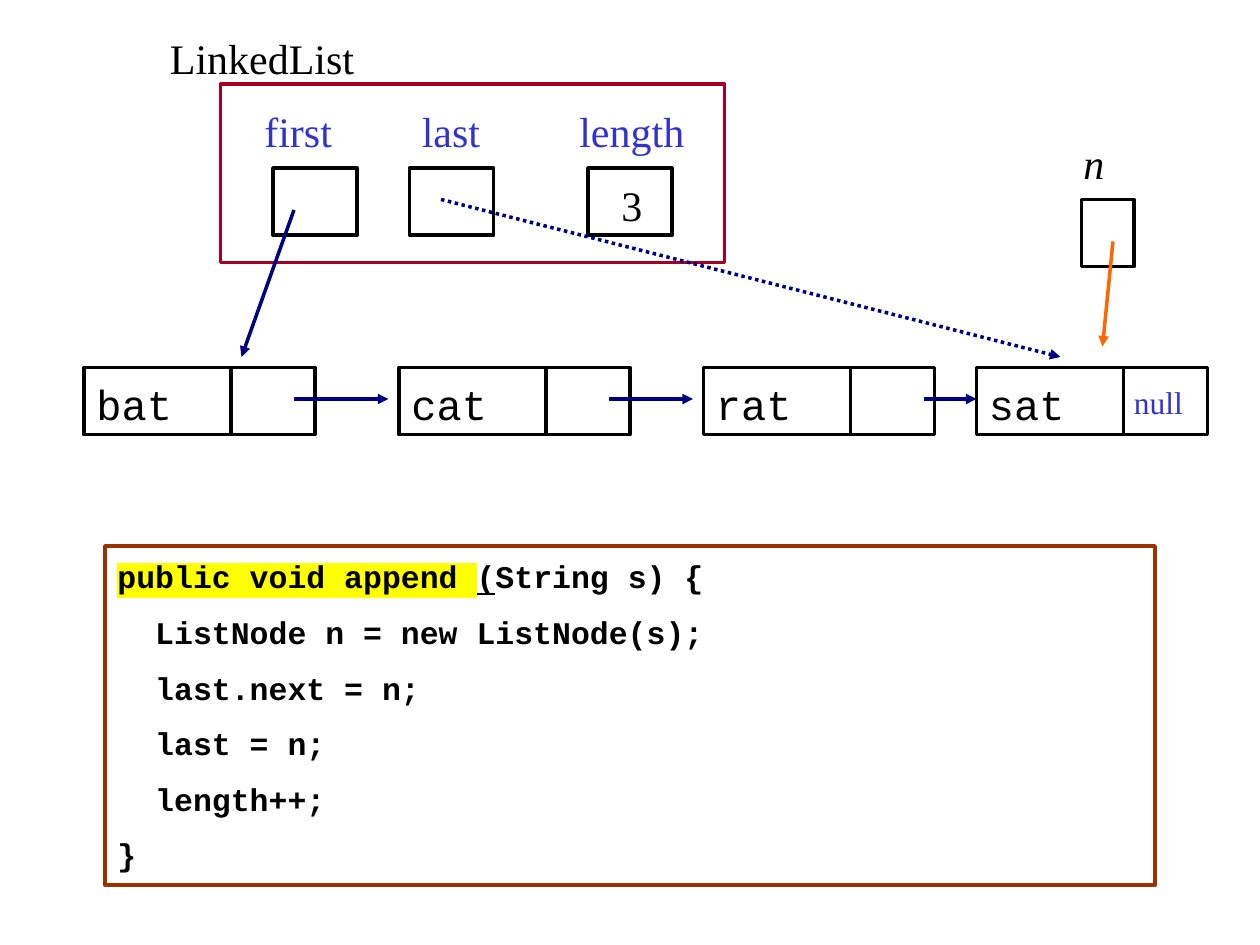
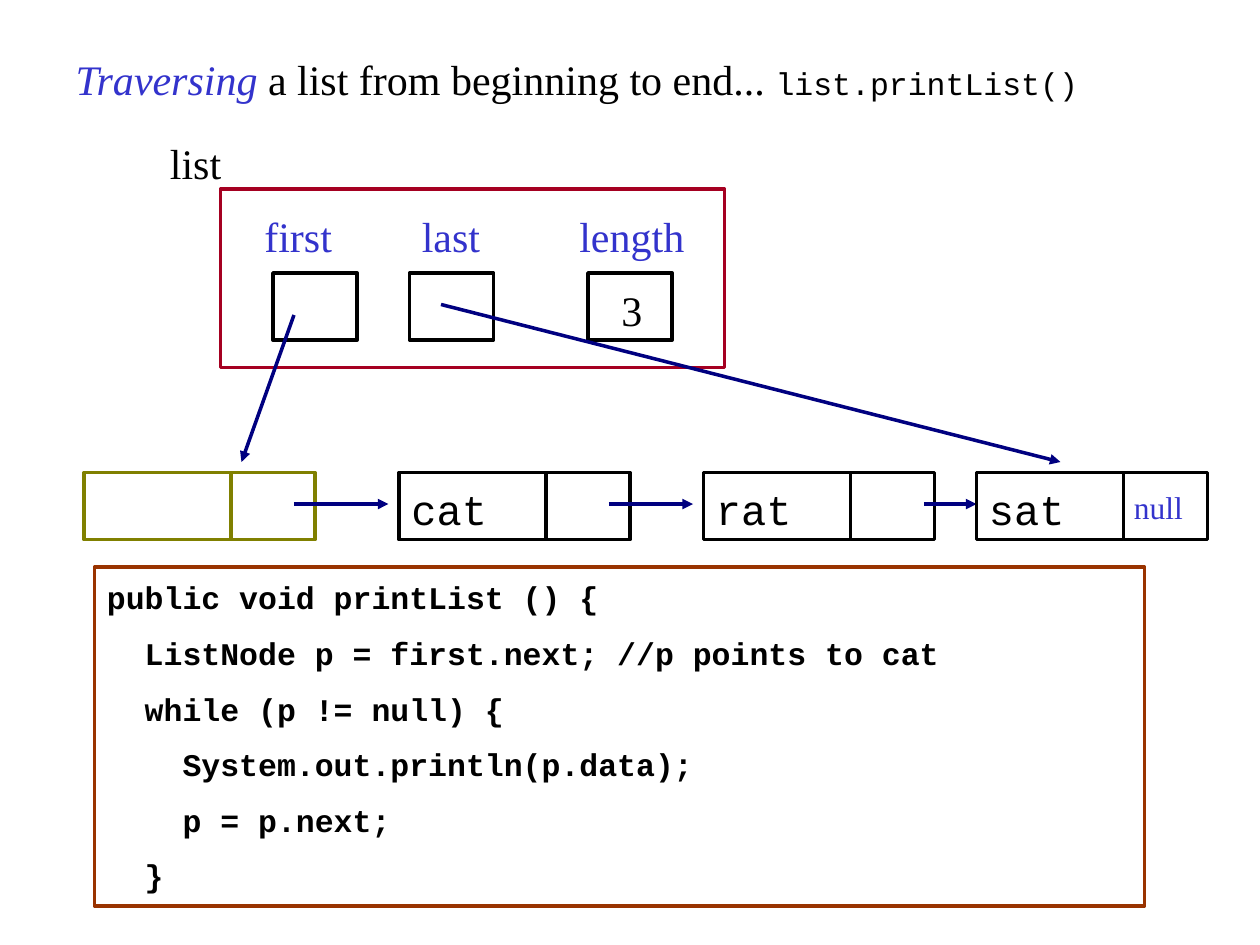
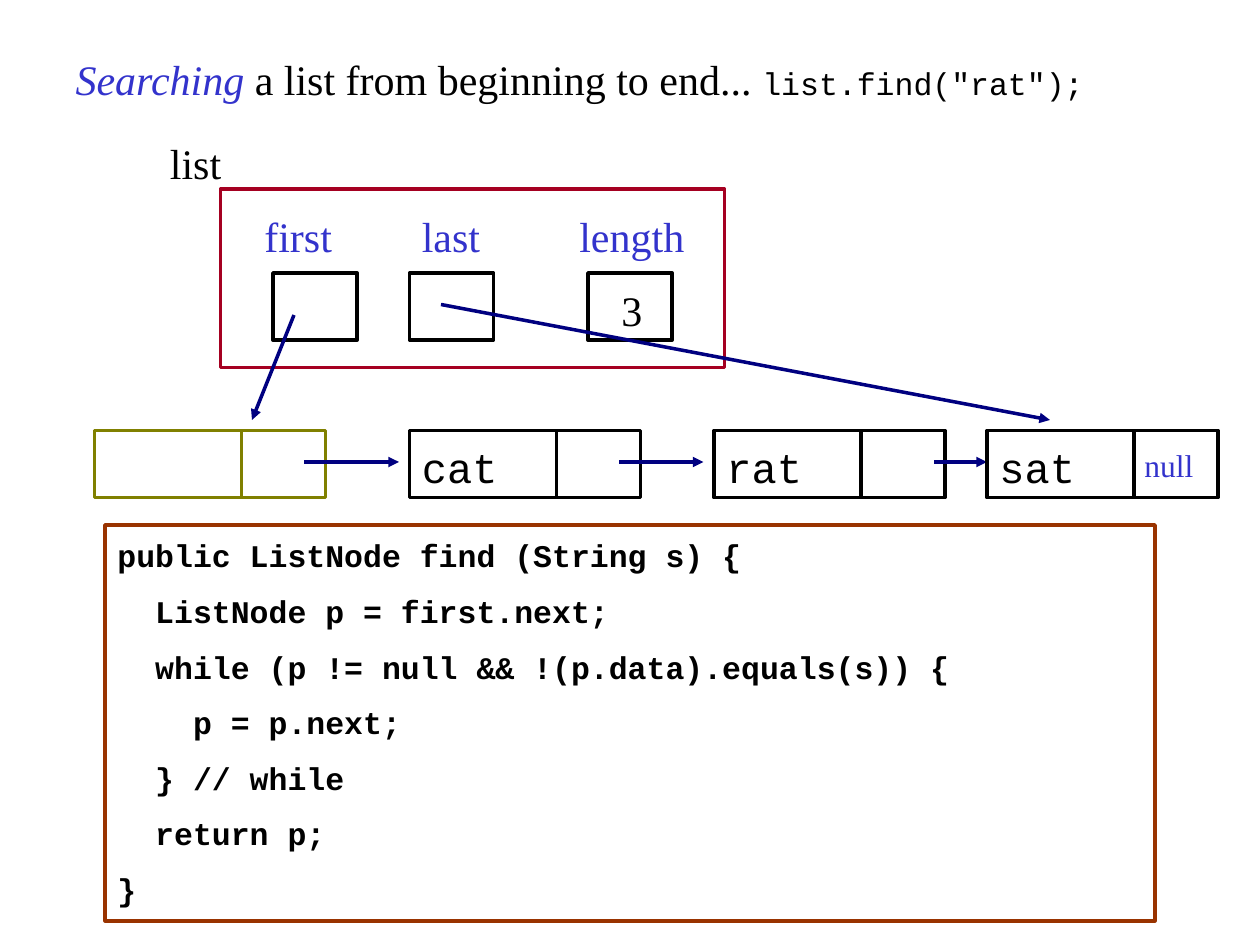
from dataclasses import dataclass, field
from typing import Optional

from lxml.etree import SubElement
from pptx import Presentation
from pptx.dml.color import RGBColor
from pptx.enum.dml import MSO_LINE
from pptx.enum.shapes import MSO_CONNECTOR, MSO_SHAPE
from pptx.enum.text import MSO_ANCHOR, MSO_AUTO_SIZE, PP_ALIGN
from pptx.oxml import parse_xml
from pptx.oxml.ns import nsdecls, qn
from pptx.util import Inches, Pt

# Shared colours, fonts and grid (120 columns by 90 rows)
BLACK = RGBColor(0x00, 0x00, 0x00)
BLUE = RGBColor(0x33, 0x33, 0xCC)
NAVY = RGBColor(0x00, 0x00, 0x80)
CRIMSON = RGBColor(0xA5, 0x00, 0x21)
BROWN = RGBColor(0x99, 0x33, 0x00)
OLIVE = RGBColor(0x80, 0x80, 0x00)
ORANGE = RGBColor(0xFF, 0x66, 0x00)
YELLOW = RGBColor(0xFF, 0xFF, 0x00)
SERIF = "Times New Roman"
MONO = "Courier New"
COLUMNS, ROWS = 120, 90
SLIDE_WIDTH, SLIDE_HEIGHT = Inches(10), Inches(7.5)
LINE_WIDTH = Pt(2)
BOX_HEIGHT = 6.4
TEXT_HEIGHT = 6
INSET = 0.1
TOP_INSET = 0.09


@dataclass(frozen=True)
class Area:
    column: float
    row: float
    width: float
    height: float

    def lengths(self) -> tuple[int, int, int, int]:
        return (across(self.column), down(self.row), across(self.width), down(self.height))


@dataclass(frozen=True)
class Piece:
    text: str
    font: dict
    color: RGBColor = BLACK
    highlight: Optional[RGBColor] = None


@dataclass(frozen=True)
class Field:
    name: str
    label_column: float
    label_width: float
    box_column: float


@dataclass(frozen=True)
class Node:
    column: float
    word: str
    arrow: Optional[tuple[float, float]] = None


@dataclass(frozen=True)
class ListSlide:
    label: str
    record_row: float
    node_row: float
    first_target: float
    last_target: float
    code_area: Area
    code: list[list[Piece]]
    title: list[Piece] = field(default_factory=list)
    node_shift: float = 0
    first_word: str = ""
    first_color: RGBColor = OLIVE
    last_dash: Optional[MSO_LINE] = None
    has_new_node: bool = False


LABEL_FONT = {"name": SERIF, "size": Pt(24), "bold": False, "italic": False}
ITALIC_FONT = LABEL_FONT | {"italic": True}
NULL_FONT = LABEL_FONT | {"size": Pt(18)}
WORD_FONT = LABEL_FONT | {"name": MONO}
CALL_FONT = NULL_FONT | {"name": MONO}
CODE_FONT = CALL_FONT | {"bold": True}

FIELDS = [Field("first", 24, 11, 26), Field("last", 39, 11, 39), Field("length", 54, 13, 56)]
NODES = [Node(8, "", (28, 37)), Node(38, "cat", (58, 66)),
         Node(67, "rat", (88, 93)), Node(93, "sat")]


def across(columns: float) -> int:
    return round(SLIDE_WIDTH * columns / COLUMNS)


def down(rows: float) -> int:
    return round(SLIDE_HEIGHT * rows / ROWS)


def code_lines(source: str) -> list[list[Piece]]:
    return [[Piece(line, CODE_FONT)] for line in source.strip().splitlines()]


def heading(verb: str, call: str) -> list[Piece]:
    return [Piece(verb, ITALIC_FONT, BLUE),
            Piece(" a list from beginning to end... ", LABEL_FONT),
            Piece(call, CALL_FONT)]


# Drawing helpers
def write(shape, lines: list[list[Piece]], side: float = INSET, top: float = TOP_INSET) -> None:
    frame = shape.text_frame
    frame_format = {
        "word_wrap": True, "auto_size": MSO_AUTO_SIZE.NONE, "vertical_anchor": MSO_ANCHOR.TOP,
        "margin_left": Inches(side), "margin_right": Inches(side),
        "margin_top": Inches(top), "margin_bottom": 0,
    }
    for name, value in frame_format.items():
        setattr(frame, name, value)
    for index, pieces in enumerate(lines):
        paragraph = frame.add_paragraph() if index else frame.paragraphs[0]
        paragraph.alignment = PP_ALIGN.LEFT
        paragraph.space_before = Pt(10.2) if index else Pt(0)
        for piece in pieces:
            run = paragraph.add_run()
            run.text = piece.text
            for name, value in piece.font.items():
                setattr(run.font, name, value)
            run.font.color.rgb = piece.color
            if piece.highlight is not None:
                highlight = parse_xml(f'<a:highlight {nsdecls("a")}>'
                                      f'<a:srgbClr val="{piece.highlight}"/></a:highlight>')
                run.font._element.find(qn("a:solidFill")).addnext(highlight)


def add_text(slide, area: Area, piece: Piece, side: float = INSET, top: float = TOP_INSET) -> None:
    write(slide.shapes.add_textbox(*area.lengths()), [[piece]], side, top)


def add_box(shapes, area: Area, color: RGBColor = BLACK):
    box = shapes.add_shape(MSO_SHAPE.RECTANGLE, *area.lengths())
    box.shadow.inherit = False
    box.fill.background()
    box.line.color.rgb = color
    box.line.width = LINE_WIDTH
    return box


def add_arrow(slide, start: tuple[float, float], end: tuple[float, float],
              color: RGBColor = NAVY, dash: Optional[MSO_LINE] = None) -> None:
    arrow = slide.shapes.add_connector(MSO_CONNECTOR.STRAIGHT, across(start[0]), down(start[1]),
                                       across(end[0]), down(end[1]))
    arrow.line.color.rgb = color
    arrow.line.width = LINE_WIDTH
    if dash is not None:
        arrow.line.dash_style = dash
    SubElement(arrow.line._get_or_add_ln(), qn("a:tailEnd"), type="triangle")
    SubElement(arrow._element.spPr, qn("a:effectLst"))


# Parts of the linked-list diagram
def draw_record(slide, content: ListSlide) -> None:
    row = content.record_row
    add_box(slide.shapes, Area(21, row, 48, 17), CRIMSON)
    add_text(slide, Area(15, row - 6, 21, TEXT_HEIGHT), Piece(content.label, LABEL_FONT))
    for item in FIELDS:
        add_box(slide.shapes, Area(item.box_column, row + 8, 8, BOX_HEIGHT))
        add_text(slide, Area(item.label_column, row + 1, item.label_width, TEXT_HEIGHT),
                 Piece(item.name, LABEL_FONT, BLUE))
    add_text(slide, Area(58, row + 8, 5, TEXT_HEIGHT), Piece("3", LABEL_FONT))
    target_row = content.node_row - 1
    add_arrow(slide, (28, row + 12), (content.first_target, target_row))
    add_arrow(slide, (42, row + 11), (content.last_target, target_row), dash=content.last_dash)


def draw_nodes(slide, content: ListSlide) -> None:
    row, shift = content.node_row, content.node_shift
    for index, node in enumerate(NODES):
        column = node.column + shift
        color = BLACK if index else content.first_color
        word = node.word if index else content.first_word
        group = slide.shapes.add_group_shape()
        data_box = add_box(group.shapes, Area(column, row, 14, BOX_HEIGHT), color)
        add_box(group.shapes, Area(column + 14, row, 8, BOX_HEIGHT), color)
        if word:
            write(data_box, [[Piece(word, WORD_FONT)]])
        if node.arrow:
            start, end = node.arrow
            add_arrow(slide, (start + shift, row + 3), (end + shift, row + 3))
        else:
            add_text(slide, Area(column + 15, row + 1, 7, 3.6),
                     Piece("null", NULL_FONT, BLUE), side=0, top=0.04)


def draw_new_node(slide) -> None:
    add_box(slide.shapes, Area(103, 19, 5, BOX_HEIGHT))
    add_text(slide, Area(102, 12, 5, TEXT_HEIGHT), Piece("n", ITALIC_FONT))
    add_arrow(slide, (106, 23), (105, 33), ORANGE)


def draw_title(slide, pieces: list[Piece]) -> None:
    title = slide.shapes.title
    title.left, title.top, title.width, title.height = Area(6, 4, 106, TEXT_HEIGHT).lengths()
    write(title, [pieces])


# Slide contents
APPEND_CODE = [
    [Piece("public void append ", CODE_FONT, highlight=YELLOW),
     Piece("(", CODE_FONT | {"underline": True}),
     Piece("String s) {", CODE_FONT)],
] + [[Piece(line, CODE_FONT)] for line in (
    "  ListNode n = new ListNode(s);", "  last.next = n;", "  last = n;", "  length++;", "}")]

PRINT_CODE = code_lines("""
public void printList () {
  ListNode p = first.next; //p points to cat
  while (p != null) {
    System.out.println(p.data);
    p = p.next;
  }
""")

FIND_CODE = code_lines("""
public ListNode find (String s) {
  ListNode p = first.next;
  while (p != null && !(p.data).equals(s)) {
    p = p.next;
  } // while
  return p;
}
""")

SLIDES = [
    ListSlide("LinkedList", 8, 35, 23, 101, Area(10, 52, 100, 32.3), APPEND_CODE,
              first_word="bat", first_color=BLACK, last_dash=MSO_LINE.ROUND_DOT,
              has_new_node=True),
    ListSlide("list", 18, 45, 23, 101, Area(9, 54, 100, 32.3), PRINT_CODE,
              heading("Traversing", "list.printList()")),
    ListSlide("list", 18, 41, 24, 100, Area(10, 50, 100, 37.7), FIND_CODE,
              heading("Searching", 'list.find("rat");'), node_shift=1),
]


def main() -> None:
    presentation = Presentation()
    presentation.slide_width, presentation.slide_height = SLIDE_WIDTH, SLIDE_HEIGHT
    title_only = presentation.slide_layouts.get_by_name("Title Only")
    blank = presentation.slide_layouts.get_by_name("Blank")
    for content in SLIDES:
        slide = presentation.slides.add_slide(title_only if content.title else blank)
        if content.title:
            draw_title(slide, content.title)
        draw_record(slide, content)
        draw_nodes(slide, content)
        if content.has_new_node:
            draw_new_node(slide)
        write(add_box(slide.shapes, content.code_area, BROWN), content.code)
    presentation.save("out.pptx")


if __name__ == "__main__":
    main()
